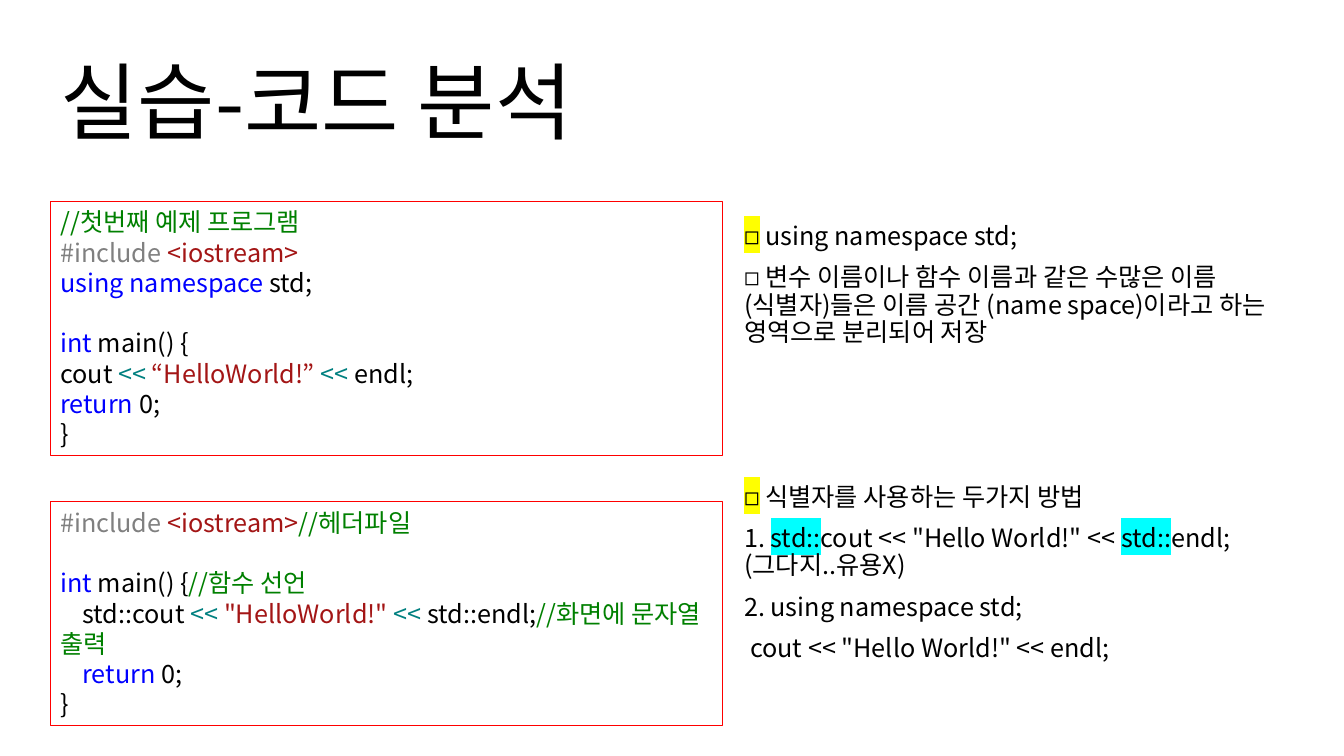
from lxml import etree
from pptx import Presentation
from pptx.dml.color import RGBColor
from pptx.enum import shapes, text
from pptx.oxml.ns import qn
from pptx.util import Inches, Pt

FONT = "Noto Sans CJK KR"
BLACK, RED = "000000", "FF0000"
COMMENT, DIRECTIVE, STRING = "008000", "808080", "A31515"
KEYWORD, OPERATOR = "0000FF", "008080"
YELLOW, CYAN = "FFFF00", "00FFFF"
BLANK_LINE = 21.7  # height of one empty code line, in points


def rgb(color):
    return RGBColor.from_string(color)


def place(sp, left, top, width, height):
    sp.left, sp.top = Inches(left), Inches(top)
    sp.width, sp.height = Inches(width), Inches(height)


def add_run(p, content, size=18, color=BLACK, highlight=None):
    r = p.add_run()
    r.text = content
    r.font.size = Pt(size)
    r.font.color.rgb = rgb(color)
    rPr = r.font._element
    if highlight:
        mark = etree.SubElement(rPr, qn("a:highlight"))
        etree.SubElement(mark, qn("a:srgbClr"), val=highlight)
    r.font.name = FONT
    etree.SubElement(rPr, qn("a:ea"), typeface=FONT)


def format_paragraph(p, before=0, spacing=1.0, indent=0):
    p.alignment = text.PP_ALIGN.LEFT
    p.space_before = Pt(before)
    p.line_spacing = spacing
    pPr = p._p.get_or_add_pPr()
    pPr.set("marL", "0")
    pPr.set("indent", str(Inches(indent)))
    etree.SubElement(pPr, qn("a:buNone"))


def next_paragraph(tf, index):
    return tf.add_paragraph() if index else tf.paragraphs[0]


def set_frame(sp, anchor, auto_size):
    tf = sp.text_frame
    tf.word_wrap = True
    tf.vertical_anchor = anchor
    tf.auto_size = auto_size
    return tf


def fill_title(sp, content):
    place(sp, 0.5, 0.3, 9, 1.25)
    tf = set_frame(sp, text.MSO_ANCHOR.BOTTOM, text.MSO_AUTO_SIZE.NONE)
    p = tf.paragraphs[0]
    format_paragraph(p, spacing=0.9)
    add_run(p, content, size=60)


def fill_notes(sp, notes):
    """Each note is (space before, indent, [(text, highlight), ...])."""
    place(sp, 7.28, 2.17, 5.47, 4.5)
    tf = set_frame(sp, text.MSO_ANCHOR.TOP, text.MSO_AUTO_SIZE.NONE)
    for i, (before, indent, runs) in enumerate(notes):
        p = next_paragraph(tf, i)
        format_paragraph(p, before, 0.9, indent)
        for content, highlight in runs:
            add_run(p, content, highlight=highlight)


def add_code_box(slide, top, height, lines):
    """Each line is (space before, indent, [(text, color), ...])."""
    sp = slide.shapes.add_shape(shapes.MSO_SHAPE.RECTANGLE, Inches(0.5),
                                Inches(top), Inches(6.67), Inches(height))
    sp.shadow.inherit = False
    sp.fill.background()
    sp.line.color.rgb = rgb(RED)
    sp.line.width = Pt(0.75)
    tf = set_frame(sp, text.MSO_ANCHOR.TOP,
                   text.MSO_AUTO_SIZE.SHAPE_TO_FIT_TEXT)
    for i, (before, indent, runs) in enumerate(lines):
        p = next_paragraph(tf, i)
        format_paragraph(p, before, indent=indent)
        for content, color in runs:
            add_run(p, content, color=color)


def main():
    prs = Presentation()
    prs.slide_width, prs.slide_height = Inches(13.33), Inches(7.5)
    slide = prs.slides.add_slide(prs.slide_layouts[1])
    title, body = slide.placeholders

    fill_title(title, "실습-코드 분석")

    # Explanations on the right
    fill_notes(body, [
        (10, 0, [("◻", YELLOW), (" using namespace std;", None)]),
        (10, 0, [("◻ 변수 이름이나 함수 이름과 같은 수많은 이름(식별자)들은 "
                  "이름 공간 (name space)이라고 하는 영역으로 분리되어 저장",
                  None)]),
        (98.5, 0, [("◻", YELLOW), (" 식별자를 사용하는 두가지 방법", None)]),
        (10, 0, [("1. ", None), ("std::", CYAN),
                 ('cout << "Hello World!" << ', None), ("std::", CYAN),
                 ("endl; (그다지..유용X)", None)]),
        (10, 0, [("2. using namespace std;", None)]),
        (10, 0.06, [('cout << "Hello World!" << endl;', None)]),
    ])

    # Lines shared by both programs
    include = [("#include ", DIRECTIVE), ("<iostream>", STRING)]
    main_head = [("int", KEYWORD), (" main() {", BLACK)]
    return_zero = [("return", KEYWORD), (" 0;", BLACK)]
    closing = (0, 0, [("}", BLACK)])

    # Program with a using directive
    add_code_box(slide, 2, 2.52, [
        (0, 0, [("//첫번째 예제 프로그램", COMMENT)]),
        (0, 0, include),
        (0, 0, [("using namespace", KEYWORD), (" std;", BLACK)]),
        (BLANK_LINE, 0, main_head),
        (0, 0, [("cout ", BLACK), ("<< ", OPERATOR),
                ("“HelloWorld!” ", STRING), ("<< ", OPERATOR),
                ("endl;", BLACK)]),
        (0, 0, return_zero),
        closing,
    ])

    # Program with qualified names
    add_code_box(slide, 4.98, 2.22, [
        (0, 0, include + [("//헤더파일", COMMENT)]),
        (BLANK_LINE, 0, main_head + [("//함수 선언", COMMENT)]),
        (0, 0.22, [("std::cout ", BLACK), ("<< ", OPERATOR),
                   ('"HelloWorld!" ', STRING), ("<<", OPERATOR),
                   (" std::endl;", BLACK),
                   ("//화면에 문자열 출력", COMMENT)]),
        (0, 0.22, return_zero),
        closing,
    ])

    prs.save("out.pptx")


if __name__ == "__main__":
    main()
